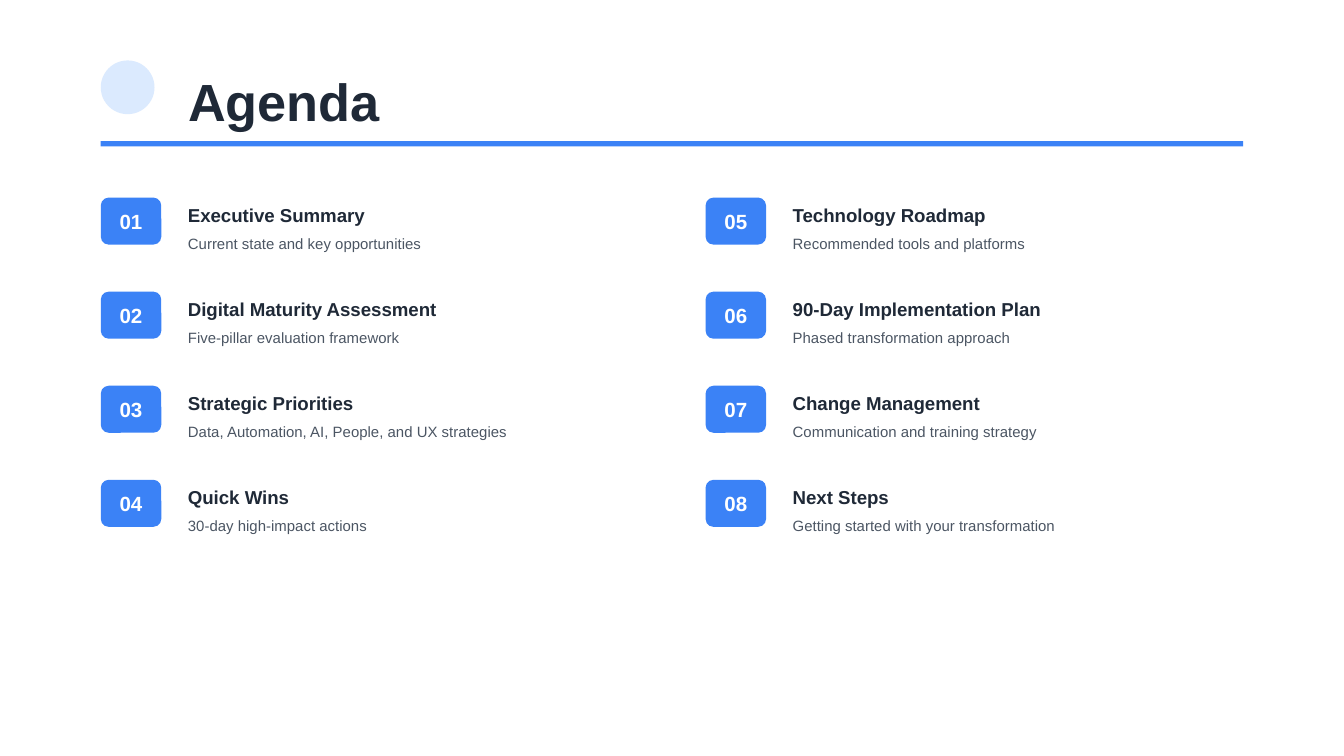
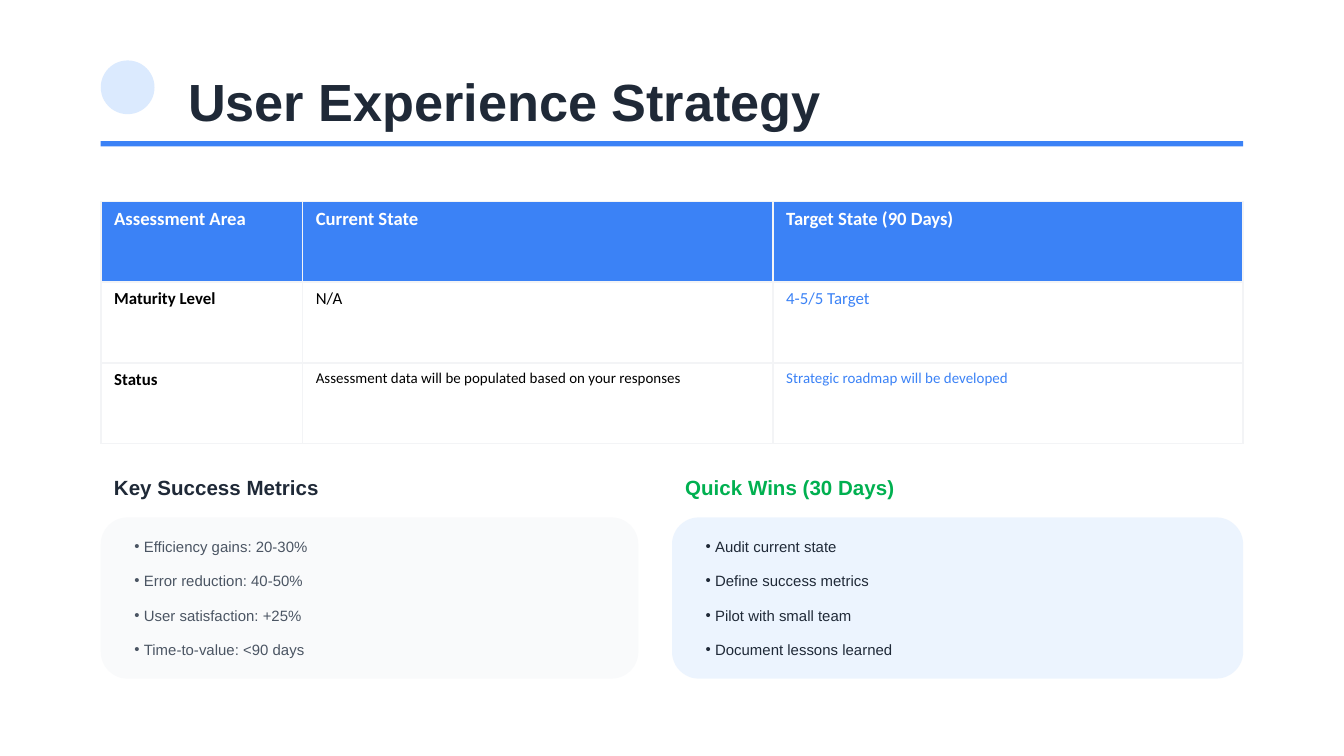
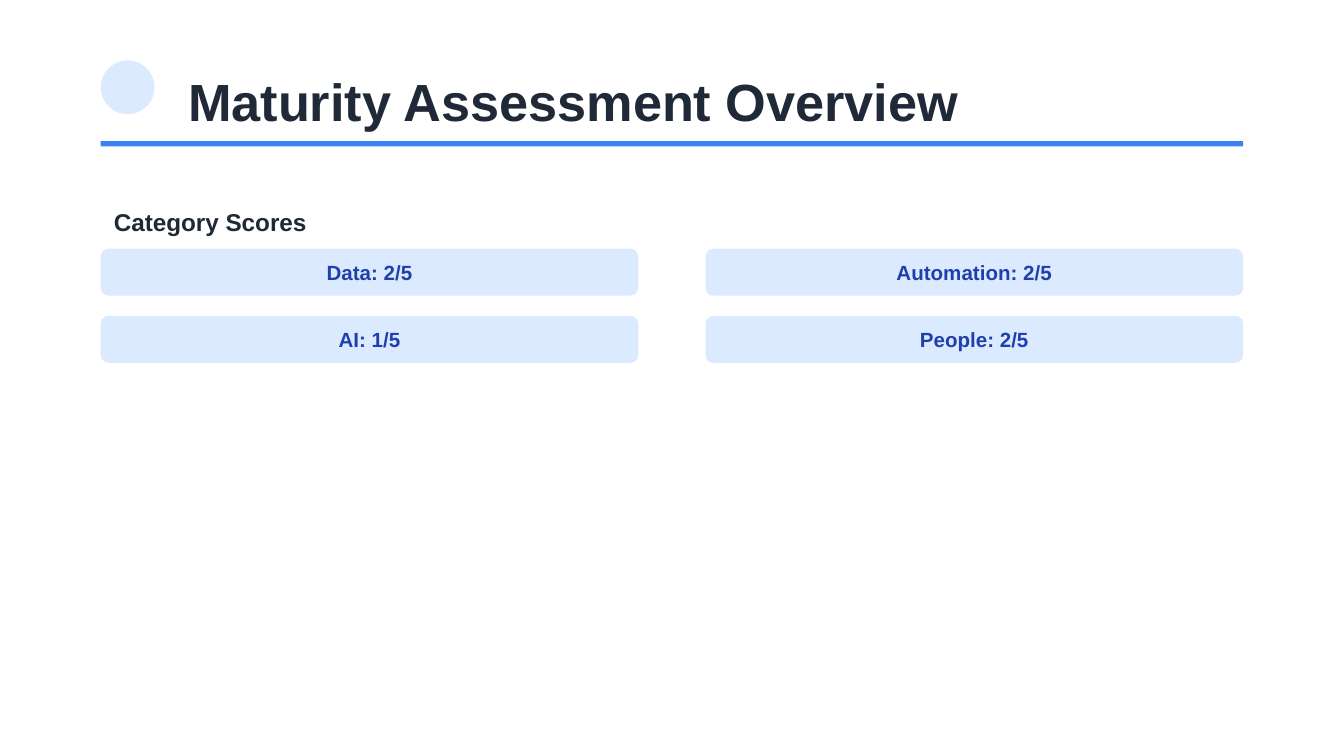
from pptx import Presentation
from pptx.dml.color import RGBColor
from pptx.enum.shapes import MSO_SHAPE
from pptx.enum.text import MSO_ANCHOR, MSO_AUTO_SIZE, PP_ALIGN
from pptx.oxml.ns import qn
from pptx.util import Inches, Pt
from lxml.etree import SubElement

COLORS = {
    "white": "FFFFFF",
    "black": "000000",
    "ink": "1F2937",
    "gray": "4B5563",
    "border": "F3F4F6",
    "panel": "F9FAFB",
    "blue": "3B82F6",
    "pale": "DBEAFE",
    "navy": "1E40AF",
    "green": "00B050",
}
TITLE_ONLY, TWO_CONTENT = 5, 3
LEFT, WIDTH = 0.75, 8.5
COLUMN_STEP = 4.5

AGENDA = [
    ("Executive Summary", "Current state and key opportunities"),
    ("Digital Maturity Assessment", "Five-pillar evaluation framework"),
    ("Strategic Priorities", "Data, Automation, AI, People, and UX strategies"),
    ("Quick Wins", "30-day high-impact actions"),
    ("Technology Roadmap", "Recommended tools and platforms"),
    ("90-Day Implementation Plan", "Phased transformation approach"),
    ("Change Management", "Communication and training strategy"),
    ("Next Steps", "Getting started with your transformation"),
]
ASSESSMENT = [
    ("Assessment Area", "Current State", "Target State (90 Days)"),
    ("Maturity Level", "N/A", "4-5/5 Target"),
    ("Status", "Assessment data will be populated based on your responses",
     "Strategic roadmap will be developed"),
]
METRICS = ["Efficiency gains: 20-30%", "Error reduction: 40-50%",
           "User satisfaction: +25%", "Time-to-value: <90 days"]
QUICK_WINS = ["Audit current state", "Define success metrics",
              "Pilot with small team", "Document lessons learned"]
SCORES = ["Data: 2/5", "Automation: 2/5", "AI: 1/5", "People: 2/5"]


def rgb(name):
    return RGBColor.from_string(COLORS[name])


def write(para, text, size=11, color="ink", bold=False, font="Arial",
          align=PP_ALIGN.LEFT):
    para.alignment = align
    span = para.add_run()
    span.text = text
    span.font.name = font
    span.font.size = Pt(size)
    span.font.bold = bold
    span.font.color.rgb = rgb(color)


class Deck:
    def __init__(self):
        self.presentation = Presentation()
        self.presentation.slide_width = Inches(10)
        self.presentation.slide_height = Inches(5.625)
        self.page = None

    def add_page(self, title, layout=TITLE_ONLY):
        layouts = self.presentation.slide_layouts
        self.page = self.presentation.slides.add_slide(layouts[layout])
        self.shape(MSO_SHAPE.OVAL, LEFT, 0.45, 0.4, 0.4, "pale")
        box = self.page.shapes.title
        self.place(box, 1.3, 0.5, 7.95, 0.5)
        write(box.text_frame.paragraphs[0], title, size=28, bold=True)
        self.shape(MSO_SHAPE.RECTANGLE, LEFT, 1.05, WIDTH, 0.04, "blue")

    def place(self, box, left, top, width, height, anchor=MSO_ANCHOR.MIDDLE):
        box.left, box.top = Inches(left), Inches(top)
        box.width, box.height = Inches(width), Inches(height)
        frame = box.text_frame
        frame.word_wrap = True
        frame.auto_size = MSO_AUTO_SIZE.NONE
        frame.vertical_anchor = anchor

    def text(self, text, left, top, width, height, **style):
        box = self.page.shapes.add_textbox(0, 0, 0, 0)
        self.place(box, left, top, width, height)
        write(box.text_frame.paragraphs[0], text, **style)

    def shape(self, kind, left, top, width, height, fill, opacity=100):
        box = self.page.shapes.add_shape(
            kind, Inches(left), Inches(top), Inches(width), Inches(height))
        box.shadow.inherit = False
        box.line.fill.background()
        box.fill.solid()
        box.fill.fore_color.rgb = rgb(fill)
        if opacity < 100:
            color = box.fill._xPr.find(qn("a:solidFill"))[0]
            SubElement(color, qn("a:alpha"), val=str(opacity * 1000))
        return box

    def label(self, text, left, top, width, fill, color):
        box = self.shape(MSO_SHAPE.ROUNDED_RECTANGLE, left, top, width, 0.35, fill)
        box.text_frame.vertical_anchor = MSO_ANCHOR.MIDDLE
        write(box.text_frame.paragraphs[0], text, color=color, bold=True,
              align=PP_ALIGN.CENTER)

    def bullets(self, index, items, left, top, width, color):
        box = self.page.placeholders[index]
        self.place(box, left, top, width, 1, MSO_ANCHOR.TOP)
        frame = box.text_frame
        for number, item in enumerate(items):
            para = frame.add_paragraph() if number else frame.paragraphs[0]
            write(para, item, size=8, color=color)
            para.line_spacing = 1.0
            para.space_before = Pt(0)
            para.space_after = Pt(8.8)
            properties = para._p.get_or_add_pPr()
            properties.set("marL", str(Inches(0.07)))
            properties.set("indent", str(Inches(-0.07)))
            SubElement(properties, qn("a:buFont"), typeface="Arial")
            SubElement(properties, qn("a:buChar"), char="•")

    def table(self, rows, left, top, widths, row_height, style_for):
        table = self.page.shapes.add_table(
            len(rows), len(widths), Inches(left), Inches(top),
            Inches(sum(widths)), Inches(row_height * len(rows))).table
        for column, width in zip(table.columns, widths):
            column.width = Inches(width)
        for row, texts in enumerate(rows):
            for column, text in enumerate(texts):
                cell = table.cell(row, column)
                self.border(cell)
                cell.fill.solid()
                cell.fill.fore_color.rgb = rgb("white" if row else "blue")
                write(cell.text_frame.paragraphs[0], text, font="Calibri",
                      **style_for(row, column))

    def border(self, cell):
        properties = cell._tc.get_or_add_tcPr()
        for side in ("lnL", "lnR", "lnT", "lnB"):
            line = SubElement(properties, qn(f"a:{side}"), w=str(Pt(1)))
            fill = SubElement(line, qn("a:solidFill"))
            SubElement(fill, qn("a:srgbClr"), val=COLORS["border"])


def assessment_style(row, column):
    if row == 0:
        return {"size": 10, "color": "white", "bold": True}
    return {
        "size": 8 if row == 2 and column else 9,
        "color": "blue" if column == 2 else "black",
        "bold": column == 0,
    }


def build_agenda(deck):
    deck.add_page("Agenda")
    for index, (topic, detail) in enumerate(AGENDA):
        column, row = divmod(index, 4)
        left = LEFT + column * COLUMN_STEP
        top = 1.47 + row * 0.7
        deck.label(f"{index + 1:02}", left, top, 0.45, "blue", "white")
        deck.text(topic, left + 0.55, top + 0.03, 3.5, 0.2, size=10, bold=True)
        deck.text(detail, left + 0.55, top + 0.25, 3.5, 0.18, size=8, color="gray")


def build_strategy(deck):
    deck.add_page("User Experience Strategy", TWO_CONTENT)
    deck.table(ASSESSMENT, LEFT, 1.5, [1.5, 3.5, 3.5], 0.6, assessment_style)
    panels = [
        (1, "Key Success Metrics", METRICS, LEFT, 4, 3.7, "ink", "gray", "panel", 100),
        (2, "Quick Wins (30 Days)", QUICK_WINS, 5, 4.25, 4, "green", "ink", "pale", 50),
    ]
    for index, heading, items, left, width, list_width, accent, color, fill, opacity in panels:
        deck.text(heading, left, 3.5, width, 0.25, color=accent, bold=True)
        deck.shape(MSO_SHAPE.ROUNDED_RECTANGLE, left, 3.85, width, 1.2, fill, opacity)
        deck.bullets(index, items, left + 0.15, 3.95, list_width, color)
        panel_list = deck.page.placeholders[index]._element
        panel_list.getparent().append(panel_list)


def build_scores(deck):
    deck.add_page("Maturity Assessment Overview")
    deck.text("Category Scores", LEFT, 1.5, WIDTH, 0.3, size=13, bold=True)
    for index, score in enumerate(SCORES):
        row, column = divmod(index, 2)
        deck.label(score, LEFT + column * COLUMN_STEP, 1.85 + row * 0.5, 4,
                   "pale", "navy")


def main():
    deck = Deck()
    build_agenda(deck)
    build_strategy(deck)
    build_scores(deck)
    deck.presentation.save("out.pptx")


if __name__ == "__main__":
    main()
